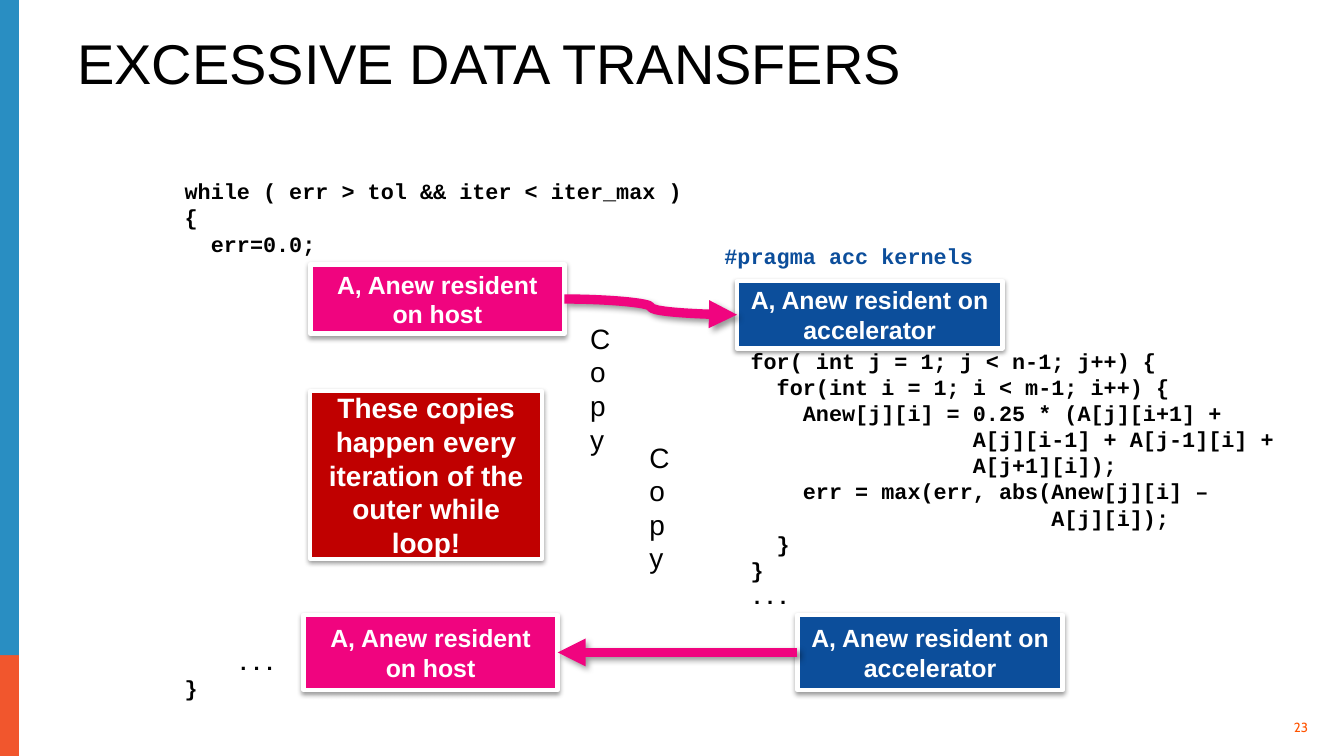
from lxml import etree
from pptx import Presentation
from pptx import util as u
from pptx.dml.color import RGBColor
from pptx.enum import shapes, text
from pptx.oxml import ns

WIDTH, HEIGHT = u.Inches(12), u.Inches(6.75)
COLUMNS, ROWS = 120, 67.5

BLACK = RGBColor(0x00, 0x00, 0x00)
WHITE = RGBColor(0xFF, 0xFF, 0xFF)
PINK = RGBColor(0xF0, 0x04, 0x7F)
NAVY = RGBColor(0x0C, 0x4E, 0x9B)
RED = RGBColor(0xC0, 0x00, 0x00)
BLUE = RGBColor(0x29, 0x8E, 0xC2)
ORANGE = RGBColor(0xF1, 0x56, 0x2D)
NUMBER_ORANGE = RGBColor(0xFF, 0x54, 0x00)

CODE_SIZE = 14
CODE_PITCH = 16.8

OUTER_LOOP = [
    "while ( err > tol && iter < iter_max ) {",
    "  err=0.0;",
    "    ...",
    "}",
]
KERNEL = [
    "#pragma acc kernels",
    "  for( int j = 1; j < n-1; j++) {",
    "    for(int i = 1; i < m-1; i++) {",
    "      Anew[j][i] = 0.25 * (A[j][i+1] +",
    "                   A[j][i-1] + A[j-1][i] +",
    "                   A[j+1][i]);",
    "      err = max(err, abs(Anew[j][i] –",
    "                         A[j][i]);",
    "    }",
    "  }",
    "  ...",
]


def place(column, row, columns, rows):
    return (int(WIDTH * column / COLUMNS), int(HEIGHT * row / ROWS),
            int(WIDTH * columns / COLUMNS), int(HEIGHT * rows / ROWS))


def set_font(paragraph, name, size, color, bold=False):
    font = paragraph.font
    font.name, font.size, font.bold = name, u.Pt(size), bold
    font.color.rgb = color


def add_shadow(properties, opacity, blur, distance, angle):
    effects = properties.find(ns.qn("a:effectLst"))
    if effects is None:
        effects = etree.SubElement(properties, ns.qn("a:effectLst"))
    shadow = etree.SubElement(
        effects, ns.qn("a:outerShdw"), blurRad=str(u.Pt(blur)),
        dist=str(u.Pt(distance)), dir=str(angle * 60000), rotWithShape="0")
    color = etree.SubElement(shadow, ns.qn("a:srgbClr"), val=str(BLACK))
    etree.SubElement(color, ns.qn("a:alpha"), val=str(opacity * 1000))


def add_rectangle(slide, area, fill):
    shape = slide.shapes.add_shape(shapes.MSO_SHAPE.RECTANGLE, *place(*area))
    shape.shadow.inherit = False
    shape.fill.solid()
    shape.fill.fore_color.rgb = fill
    shape.line.fill.background()
    return shape


def add_callout(slide, area, fill, wording, size=16, border=3):
    shape = add_rectangle(slide, area, fill)
    shape.line.color.rgb = WHITE
    shape.line.width = u.Pt(border)
    add_shadow(shape._element.spPr, 38, 3.1, 1.6, 90)
    frame = shape.text_frame
    frame.word_wrap = True
    frame.vertical_anchor = text.MSO_ANCHOR.MIDDLE
    paragraph = frame.paragraphs[0]
    paragraph.text = wording
    paragraph.alignment = text.PP_ALIGN.CENTER
    set_font(paragraph, "Arial", size, WHITE, True)
    return shape


def add_label(slide, area, wording, size, name="Arial", color=BLACK):
    frame = slide.shapes.add_textbox(*place(*area)).text_frame
    frame.word_wrap = True
    paragraph = frame.paragraphs[0]
    paragraph.text = wording
    set_font(paragraph, name, size, color)
    return frame


def add_code(slide, area, lines, gap_line, gap_rows, first_color=BLACK):
    frame = slide.shapes.add_textbox(*place(*area)).text_frame
    frame.word_wrap = True
    for index, line in enumerate(lines):
        paragraph = frame.paragraphs[0] if index == 0 else frame.add_paragraph()
        paragraph.text = line
        if index == gap_line:
            paragraph.space_before = u.Pt(gap_rows * CODE_PITCH)
        color = first_color if index == 0 else BLACK
        set_font(paragraph, "Courier New", CODE_SIZE, color, True)


def add_arrow(slide, source, source_site, target, target_site):
    arrow = slide.shapes.add_connector(shapes.MSO_CONNECTOR.CURVE, 0, 0, 0, 0)
    arrow.begin_connect(source, source_site)
    arrow.end_connect(target, target_site)
    arrow.line.color.rgb = PINK
    arrow.line.width = u.Pt(6)
    etree.SubElement(arrow.line._get_or_add_ln(), ns.qn("a:tailEnd"), type="triangle")
    add_shadow(arrow._element.spPr, 40, 4, 3, 45)


def add_frame(slide):
    add_rectangle(slide, (-0.3, 50.7, 2, 16.8), ORANGE)
    add_rectangle(slide, (-0.3, 0, 2, 58.5), BLUE)

    number = add_label(slide, (113.3, 64, 3.5, 1.8), "23", 8.5, "Cabin", NUMBER_ORANGE)
    number.margin_left = number.margin_right = 0
    number.margin_top = number.margin_bottom = 0
    number.vertical_anchor = text.MSO_ANCHOR.MIDDLE
    number.paragraphs[0].alignment = text.PP_ALIGN.RIGHT

    title = add_label(slide, (5.9, 2.3, 109.1, 6.8), "EXCESSIVE DATA TRANSFERS", 36)
    title.vertical_anchor = text.MSO_ANCHOR.BOTTOM
    title.paragraphs[0].line_spacing = 0.9


def main():
    presentation = Presentation()
    presentation.slide_width, presentation.slide_height = WIDTH, HEIGHT
    slide = presentation.slides.add_slide(presentation.slide_layouts[6])
    add_frame(slide)

    add_code(slide, (15.5, 15.4, 48.1, 48.1), OUTER_LOOP, 2, 15)
    add_code(slide, (63.7, 21.2, 54.7, 34), KERNEL, 1, 3, NAVY)

    on_host = "A, Anew resident on host"
    on_accelerator = "A, Anew resident on accelerator"
    host_before = add_callout(slide, (27.7, 23.6, 22.7, 6.2), PINK, on_host)
    host_after = add_callout(slide, (27.1, 54.9, 22.7, 6.7), PINK, on_host)
    accelerator_before = add_callout(slide, (65.8, 25.1, 23.7, 6), NAVY, on_accelerator)
    accelerator_after = add_callout(slide, (71.2, 54.9, 23.7, 6.7), NAVY, on_accelerator)

    add_arrow(slide, host_before, 3, accelerator_before, 1)
    add_arrow(slide, accelerator_after, 1, host_after, 3)

    add_callout(slide, (27.7, 34.9, 20.7, 15), RED,
                "These copies happen every iteration of the outer while loop!", 18, 2.5)
    for column, row in ((51.7, 28.2), (57, 38.8)):
        add_label(slide, (column, row, 4.5, 13.1), "Copy", 18)

    presentation.save("out.pptx")


if __name__ == "__main__":
    main()
